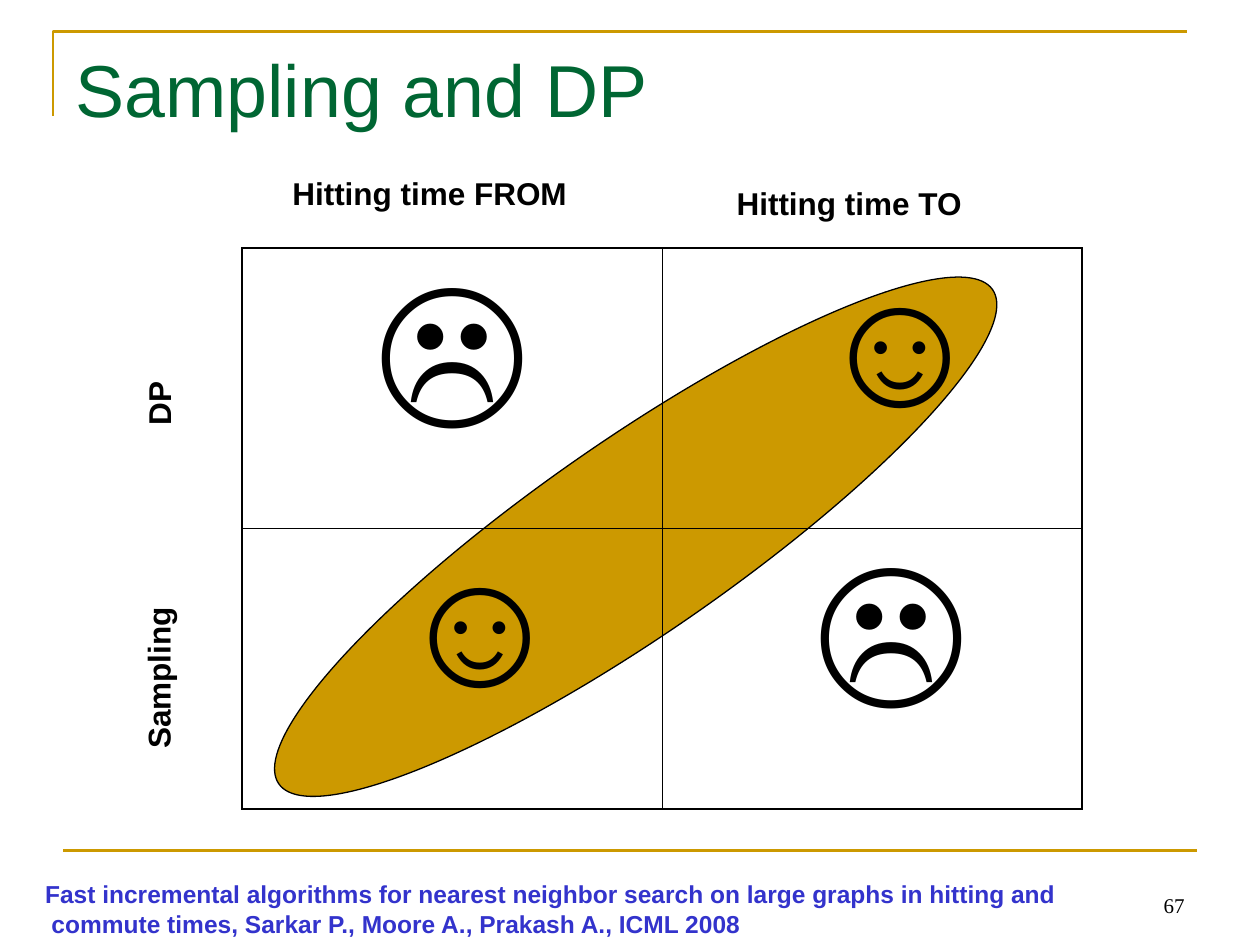
from dataclasses import dataclass
from itertools import product

from lxml.etree import SubElement
from pptx import Presentation
from pptx.dml.color import RGBColor
from pptx.enum.shapes import MSO_CONNECTOR, MSO_SHAPE
from pptx.enum.text import MSO_ANCHOR, MSO_AUTO_SIZE, PP_ALIGN
from pptx.oxml.ns import qn
from pptx.util import Inches, Pt


@dataclass(frozen=True)
class Theme:
    """Colours, fonts and point sizes of the slide."""
    gold: str = "CC9900"
    green: str = "006633"
    blue: str = "3333CC"
    black: str = "000000"
    sans: str = "Arial"
    serif: str = "Times New Roman"
    title: float = 42
    face: float = 96
    label: float = 18
    citation: float = 14
    number: float = 12
    rule: float = 1.5
    outline: float = 0.75
    outer_border: float = 1.08
    inner_border: float = 0.45


THEME = Theme()


def write(frame, text, size, color=THEME.black, font=THEME.sans, bold=False,
          align=PP_ALIGN.LEFT):
    """Fill a text frame with one formatted paragraph."""
    frame.text = text
    paragraph = frame.paragraphs[0]
    paragraph.alignment = align
    for run in paragraph.runs:
        run.font.name = font
        run.font.size = Pt(size)
        run.font.bold = bold
        run.font.color.rgb = RGBColor.from_string(color)


def add_text(slide, box, text, size, wrap=True, **style):
    """Place a text box and return it."""
    holder = slide.shapes.add_textbox(*map(Inches, box))
    holder.text_frame.word_wrap = wrap
    write(holder.text_frame, text, size, **style)
    return holder


def add_rule(slide, start, end):
    """Draw one straight gold rule without a shadow."""
    rule = slide.shapes.add_connector(MSO_CONNECTOR.STRAIGHT,
                                      *map(Inches, start + end))
    rule.line.color.rgb = RGBColor.from_string(THEME.gold)
    rule.line.width = Pt(THEME.rule)
    SubElement(rule.element.spPr, qn("a:effectLst"))


def add_corner(slide, box):
    """Draw the gold corner along the left and top of the box."""
    left, top, width, height = box
    builder = slide.shapes.build_freeform(Inches(left), Inches(top + height))
    builder.add_line_segments(
        [(Inches(left), Inches(top)), (Inches(left + width), Inches(top))],
        close=False)
    corner = builder.convert_to_shape()
    corner.fill.background()
    corner.line.color.rgb = RGBColor.from_string(THEME.gold)
    corner.line.width = Pt(THEME.rule)
    corner.shadow.inherit = False


def add_title(slide, box, text):
    """Move and format the title placeholder."""
    title = slide.shapes.title
    title.left, title.top, title.width, title.height = map(Inches, box)
    title.text_frame.auto_size = MSO_AUTO_SIZE.NONE
    title.text_frame.vertical_anchor = MSO_ANCHOR.TOP
    write(title.text_frame, text, THEME.title, color=THEME.green)


def add_highlight(slide, box, rotation):
    """Draw the tilted ellipse that joins the good combinations."""
    highlight = slide.shapes.add_shape(MSO_SHAPE.OVAL, *map(Inches, box))
    highlight.rotation = rotation
    highlight.fill.solid()
    highlight.fill.fore_color.rgb = RGBColor.from_string(THEME.gold)
    highlight.line.color.rgb = RGBColor.from_string(THEME.black)
    highlight.line.width = Pt(THEME.outline)
    highlight.shadow.inherit = False


def add_border(cell, side, width):
    """Give one side of a cell a solid border."""
    border = SubElement(cell._tc.get_or_add_tcPr(), qn(f"a:ln{side}"),
                        w=str(Pt(width)))
    fill = SubElement(border, qn("a:solidFill"))
    SubElement(fill, qn("a:srgbClr"), val=THEME.black)


def add_faces(slide, box, faces):
    """Place the two by two table of faces."""
    table = slide.shapes.add_table(2, 2, *map(Inches, box)).table
    table.first_row = table.horz_banding = False
    for row, column in product(range(2), repeat=2):
        cell = table.cell(row, column)
        outer = {"L": column == 0, "R": column == 1,
                 "T": row == 0, "B": row == 1}
        for side, is_outer in outer.items():
            add_border(cell, side, THEME.outer_border if is_outer
                       else THEME.inner_border)
        cell.fill.background()
        centred = row == column == 0
        cell.margin_left = Inches(0.1 if centred else 1.21)
        write(cell.text_frame, faces[row][column], THEME.face,
              align=PP_ALIGN.CENTER if centred else PP_ALIGN.LEFT)


def add_labels(slide, labels):
    """Place the headings of the rows and columns of the table."""
    for text, box, rotation in labels:
        label = add_text(slide, box, text, THEME.label, wrap=False, bold=True,
                         align=PP_ALIGN.CENTER)
        label.rotation = rotation


def add_citation(slide, box, text):
    """Place the citation with its second line slightly indented."""
    citation = add_text(slide, box, text, THEME.citation,
                        color=THEME.blue, bold=True)
    properties = citation.text_frame.paragraphs[0]._p.get_or_add_pPr()
    properties.set("marL", str(Inches(0.05)))
    properties.set("indent", str(-Inches(0.05)))


def add_number(slide, box, text):
    """Place the slide number at the bottom right of the box."""
    number = add_text(slide, box, text, THEME.number, font=THEME.serif,
                      align=PP_ALIGN.RIGHT)
    number.text_frame.vertical_anchor = MSO_ANCHOR.BOTTOM


def main():
    """Build and save the slide."""
    deck = Presentation()
    deck.slide_width, deck.slide_height = Inches(10), Inches(7.5)
    slide = deck.slides.add_slide(deck.slide_layouts.get_by_name("Title Only"))
    add_corner(slide, (0.42, 0.25, 9, 0.67))
    add_rule(slide, (0.5, 6.75), (9.5, 6.75))
    add_title(slide, (0.5, 0.3, 9, 1.25), "Sampling and DP")
    add_highlight(slide, (1.6, 3.49, 6.89, 1.54), 325.3)
    add_faces(slide, (1.92, 1.97, 6.67, 4.45), ("☹☺", "☺☹"))
    add_labels(slide, (
        ("Sampling", (0.59, 5.18, 1.33, 0.4), 270),
        ("Hitting time FROM", (2.1, 1.33, 2.62, 0.4), 0),
        ("Hitting time TO", (5.61, 1.41, 2.26, 0.4), 0),
        ("DP", (0.95, 3, 0.62, 0.4), 270),
    ))
    add_citation(slide, (0.26, 6.93, 8.4, 0.57),
                 "Fast incremental algorithms for nearest neighbor search on "
                 "large graphs in hitting and\vcommute times, Sarkar P., "
                 "Moore A., Prakash A., ICML 2008")
    add_number(slide, (7.17, 6.83, 2.33, 0.5), "67")
    deck.save("out.pptx")


if __name__ == "__main__":
    main()
